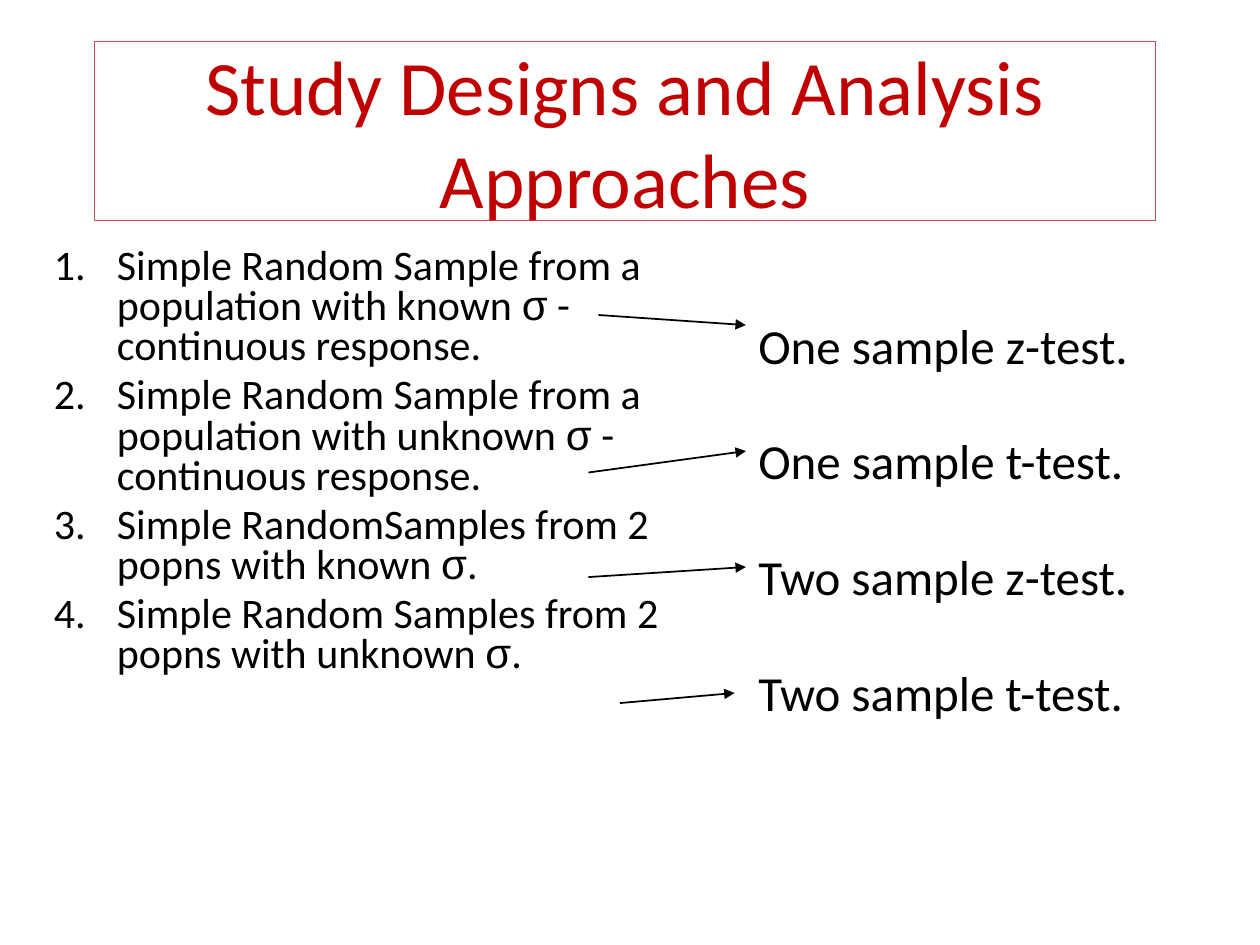
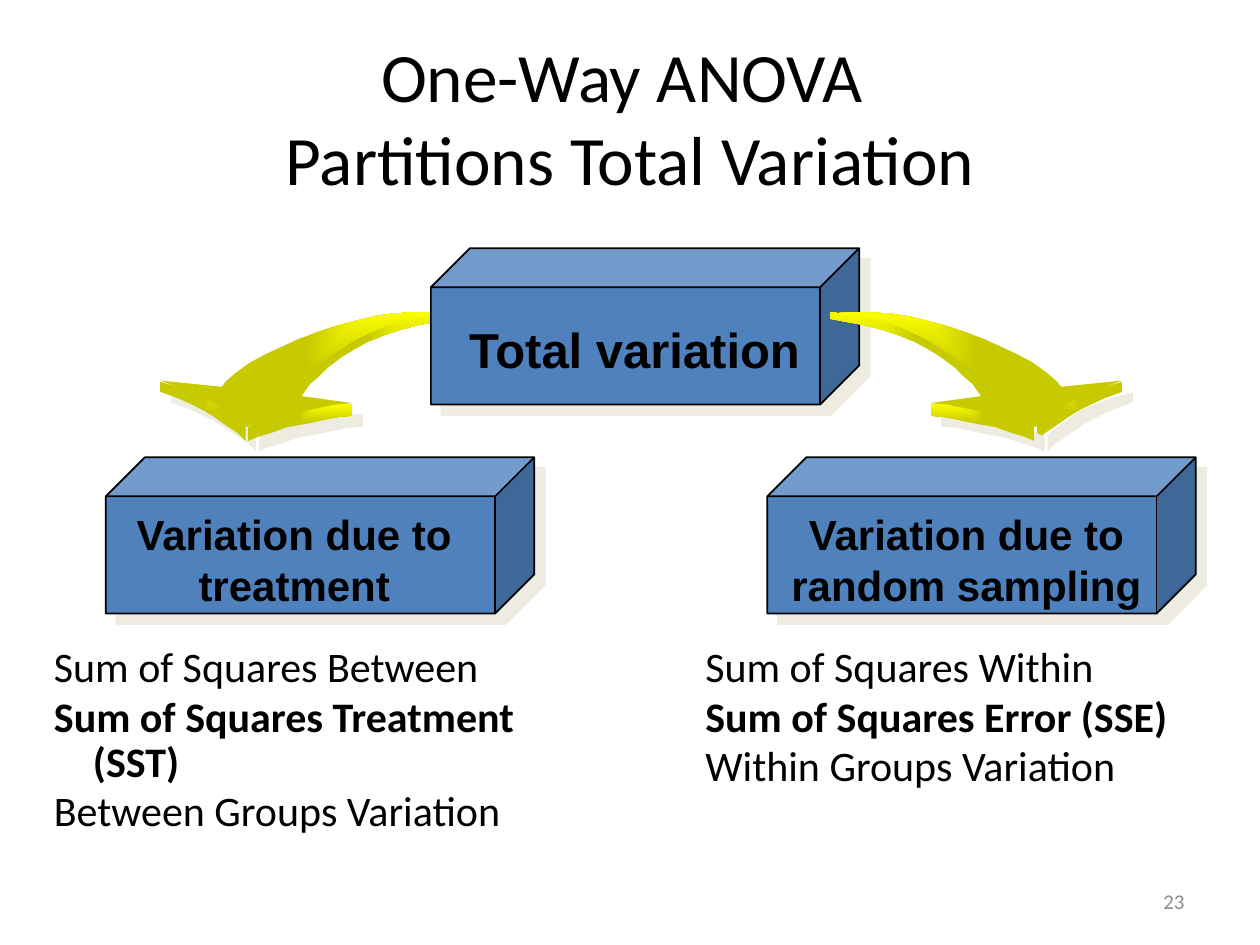
from collections.abc import Container
from dataclasses import dataclass
from typing import NamedTuple

from pptx import Presentation
from pptx.dml.color import RGBColor
from pptx.enum.shapes import MSO_CONNECTOR, MSO_SHAPE
from pptx.enum.text import MSO_ANCHOR, PP_ALIGN
from pptx.oxml import parse_xml
from pptx.oxml.ns import nsdecls, qn
from pptx.shapes.base import BaseShape
from pptx.slide import Slide
from pptx.util import Emu, Pt

SCALE = 9144  # EMU in one px, 100 px to the inch
MIRROR = 1018  # left x plus right x of the paired arrows


@dataclass(frozen=True)
class Theme:
    body: str = "Calibri"
    label: str = "Arial"
    ink: str = "000000"
    red: str = "C00000"
    frame: str = "C0504D"
    grey: str = "8C8C8C"
    blue: str = "4F81BD"
    shade: str = "EEECE1"
    glow: str = "FAFD00"
    olive: str = "C8CA00"
    banner: float = 44
    title: float = 39.6
    test: float = 28
    text: float = 24
    note: float = 12


THEME = Theme()


class Box(NamedTuple):
    left: int
    top: int
    width: int
    height: int


class Arrow(NamedTuple):
    x1: int
    y1: int
    x2: int
    y2: int


class Block(NamedTuple):
    cube: Box
    label: Box
    text: str
    size: float


class Facet(NamedTuple):
    points: tuple[tuple[int, int], ...]
    shadow: bool = False


class Sums(NamedTuple):
    box: Box
    lines: tuple[str, ...]


DESIGNS = (
    "Simple Random Sample from a population with known σ - continuous response.",
    "Simple Random Sample from a population with unknown σ - continuous response.",
    "Simple RandomSamples from 2 popns with known σ.",
    "Simple Random Samples from 2 popns with unknown σ.",
)
TESTS = (
    "One sample z-test.",
    "One sample t-test.",
    "Two sample z-test.",
    "Two sample t-test.",
)
ARROWS = (
    Arrow(475, 250, 592, 258),
    Arrow(467, 375, 592, 358),
    Arrow(467, 458, 592, 450),
    Arrow(492, 558, 583, 550),
)
BLOCKS = (
    Block(Box(342, 197, 340, 124), Box(349, 249, 309, 56),
          "Total variation", THEME.test),
    Block(Box(609, 363, 340, 124), Box(608, 399, 318, 90),
          "Variation due to random sampling", THEME.text),
    Block(Box(84, 363, 340, 124), Box(83, 399, 301, 90),
          "Variation due to treatment", THEME.text),
)
SUMS = (
    Sums(Box(550, 508, 433, 217),
         ("Sum of Squares Within", "Sum of Squares Error (SSE)",
          "Within Groups Variation")),
    Sums(Box(33, 508, 450, 217),
         ("Sum of Squares Between", "Sum of Squares Treatment (SST)",
          "Between Groups Variation")),
)
# The curved arrow that points left; its twin is mirrored.
SHAFT = Facet((
    (359, 248), (359, 253), (349, 255), (332, 258), (317, 262), (305, 266),
    (293, 271), (282, 277), (272, 283), (260, 292), (253, 299), (246, 305),
    (239, 315), (225, 314), (229, 306), (236, 299), (244, 292), (253, 285),
    (265, 276), (279, 267), (294, 260), (307, 256), (323, 252), (337, 250),
))
BARB = Facet((
    (195, 339), (195, 350), (189, 344), (180, 338), (170, 331), (162, 326),
    (152, 321), (141, 316), (127, 311), (127, 303), (134, 305), (145, 308),
    (159, 313), (169, 318), (179, 325), (188, 331), (195, 337), (195, 350),
), shadow=True)
TIP = Facet((
    (279, 321), (279, 330), (268, 331), (258, 333), (245, 336), (228, 339),
    (217, 343), (204, 347), (197, 350), (197, 339), (202, 336), (212, 332),
    (224, 328), (235, 326), (247, 324), (260, 322), (269, 321),
), shadow=True)
FACE = Facet((
    (359, 249), (346, 248), (325, 248), (311, 249), (297, 251), (281, 255),
    (266, 259), (251, 264), (237, 269), (224, 275), (211, 281), (198, 288),
    (187, 296), (179, 303), (176, 307), (127, 302), (141, 307), (153, 311),
    (162, 315), (170, 320), (179, 326), (188, 332), (196, 339), (208, 334),
    (222, 330), (237, 327), (252, 324), (267, 321), (280, 320), (229, 313),
    (232, 308), (236, 304), (243, 296), (252, 290), (264, 281), (275, 274),
    (283, 269), (294, 264), (305, 259), (318, 256), (332, 253), (346, 251),
))
FACETS = (SHAFT, BARB, TIP, FACE)


def emu(box: tuple[int, ...]) -> list[Emu]:
    return [Emu(px * SCALE) for px in box]


def rgb(code: str) -> RGBColor:
    return RGBColor.from_string(code)


def write(
    shape: BaseShape,
    *lines: str,
    size: float = THEME.text,
    font: str = THEME.body,
    color: str = THEME.ink,
    bold: Container[int] = (),
    align: PP_ALIGN = PP_ALIGN.LEFT,
    anchor: MSO_ANCHOR = MSO_ANCHOR.TOP,
    hang: int = 0,
    pitch: float = 1.0,
    gap: float = 0,
    count: bool = False,
) -> None:
    """Fill a shape with paragraphs; bold holds the numbers of bold ones."""
    frame = shape.text_frame
    frame.word_wrap = True
    frame.vertical_anchor = anchor
    for num, line in enumerate(lines):
        para = frame.add_paragraph() if num else frame.paragraphs[0]
        para.alignment = align
        para.line_spacing = pitch
        if num:
            para.space_before = Pt(gap)
        props = para._p.get_or_add_pPr()
        if hang:
            props.set("marL", str(hang * SCALE))
            props.set("indent", str(-hang * SCALE))
        if count:
            props.append(parse_xml(
                f'<a:buAutoNum {nsdecls("a")} type="arabicPeriod"/>'))
        for row, part in enumerate(line.split("\n")):
            if row:
                para.add_line_break()
            for piece in filter(None, part.partition("σ")):
                run = para.add_run()
                run.text = piece
                run.font.name = THEME.label if piece == "σ" else font
                run.font.size = Pt(size)
                run.font.bold = num in bold
                run.font.color.rgb = rgb(color)


def area(slide: Slide, box: Box) -> BaseShape:
    """Add an empty text box."""
    return slide.shapes.add_textbox(*emu(box))


def cast(shape: BaseShape, shadow: bool = True) -> None:
    """Clear the theme shadow and, if asked, set a hard offset one."""
    shape.shadow.inherit = False
    if shadow:
        shape.element.spPr.find(qn("a:effectLst")).append(parse_xml(
            f'<a:outerShdw {nsdecls("a")} blurRad="0" dist="107950" '
            'dir="2700000" algn="ctr" rotWithShape="0">'
            f'<a:srgbClr val="{THEME.shade}"/></a:outerShdw>'))


def point(slide: Slide, arrow: Arrow) -> None:
    """Draw a straight line with an arrowhead at its end."""
    link = slide.shapes.add_connector(MSO_CONNECTOR.STRAIGHT, *emu(arrow))
    link.line.width = Pt(1)
    link.line.color.rgb = rgb(THEME.ink)
    props = link.element.spPr
    props.find(qn("a:ln")).append(
        parse_xml(f'<a:tailEnd {nsdecls("a")} type="triangle"/>'))
    props.append(parse_xml(f'<a:effectLst {nsdecls("a")}/>'))


def curve(slide: Slide, flip: bool = False) -> None:
    """Draw a curved arrow whose glow starts at its upper inner corner."""
    left, right = (0, 100000) if flip else (100000, 0)
    for facet in FACETS:
        dots = [(MIRROR - x if flip else x, y) for x, y in facet.points]
        pen = slide.shapes.build_freeform(*dots[0], scale=SCALE)
        pen.add_line_segments(dots[1:], close=True)
        shape = pen.convert_to_shape()
        shape.line.fill.background()
        shape.fill.gradient()
        for stop, code in zip(shape.fill.gradient_stops,
                              (THEME.glow, THEME.olive)):
            stop.color.rgb = rgb(code)
        grad = shape.element.spPr.find(qn("a:gradFill"))
        grad.replace(grad.find(qn("a:lin")), parse_xml(
            f'<a:path {nsdecls("a")} path="rect"><a:fillToRect '
            f'l="{left}" t="0" r="{right}" b="100000"/></a:path>'))
        cast(shape, facet.shadow)


def designs(slide: Slide) -> None:
    head = slide.shapes.add_shape(MSO_SHAPE.RECTANGLE,
                                  *emu(Box(75, 33, 842, 142)))
    head.fill.background()
    head.line.color.rgb = rgb(THEME.frame)
    head.line.width = Pt(0.75)
    cast(head, shadow=False)
    write(head, "Study Designs and Analysis Approaches", size=THEME.banner,
          color=THEME.red, align=PP_ALIGN.CENTER, anchor=MSO_ANCHOR.MIDDLE)
    write(area(slide, Box(33, 192, 500, 517)), *DESIGNS,
          hang=50, pitch=0.8, gap=4.8, count=True)
    write(area(slide, Box(592, 208, 383, 425)), *TESTS,
          size=THEME.test, hang=58, pitch=1.8, gap=5.6)
    for arrow in ARROWS:
        point(slide, arrow)


def anova(slide: Slide) -> None:
    write(area(slide, Box(50, 30, 900, 125)),
          "One-Way ANOVA \nPartitions Total Variation", size=THEME.title,
          align=PP_ALIGN.CENTER, anchor=MSO_ANCHOR.MIDDLE)
    for sums in SUMS:
        write(area(slide, sums.box), *sums.lines,
              bold=(1,), hang=31, pitch=0.9, gap=2.4)
    write(area(slide, Box(717, 695, 233, 40)), "23", size=THEME.note,
          color=THEME.grey, align=PP_ALIGN.RIGHT, anchor=MSO_ANCHOR.MIDDLE)
    curve(slide)
    for block in BLOCKS:
        cube = slide.shapes.add_shape(MSO_SHAPE.CUBE, *emu(block.cube))
        cube.fill.solid()
        cube.fill.fore_color.rgb = rgb(THEME.blue)
        cube.line.color.rgb = rgb(THEME.ink)
        cube.line.width = Pt(1)
        cast(cube)
    for block in BLOCKS:
        write(area(slide, block.label), block.text, size=block.size,
              font=THEME.label, bold=(0,), align=PP_ALIGN.CENTER)
    curve(slide, flip=True)


def main() -> None:
    deck = Presentation()
    deck.slide_width, deck.slide_height = emu((1000, 750))
    for draw in (designs, anova):
        draw(deck.slides.add_slide(deck.slide_layouts[6]))
    deck.save("out.pptx")


if __name__ == "__main__":
    main()
